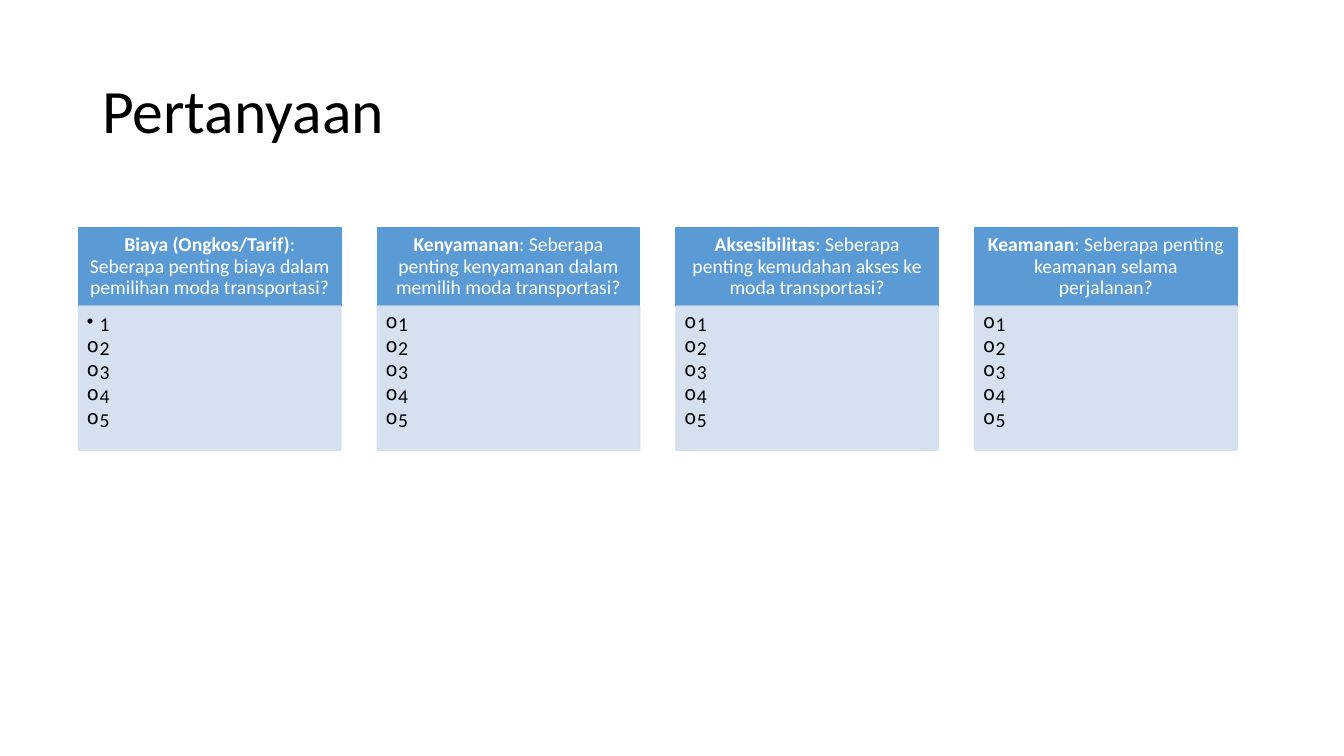
from lxml import etree
from pptx import Presentation
from pptx.dml.color import RGBColor
from pptx.enum import shapes, text
from pptx.oxml.ns import qn
from pptx.util import Pt

FONT = "Calibri"
BLACK = RGBColor(0x00, 0x00, 0x00)
WHITE = RGBColor(0xFF, 0xFF, 0xFF)
BLUE = RGBColor(0x5B, 0x9B, 0xD5)
PALE = RGBColor(0xD2, 0xDE, 0xEF)

QUESTIONS = [
    ("Biaya (Ongkos/Tarif)", ": Seberapa penting biaya dalam pemilihan moda transportasi?", "•"),
    ("Kenyamanan", ": Seberapa penting kenyamanan dalam memilih moda transportasi?", "o"),
    ("Aksesibilitas", ": Seberapa penting kemudahan akses ke moda transportasi?", "o"),
    ("Keamanan", ": Seberapa penting keamanan selama perjalanan?", "o"),
]
SCORES = ["1", "2", "3", "4", "5"]


def add_run(p, content, size=14, color=BLACK, bold=False):
    r = p.add_run()
    r.text = content
    r.font.name = FONT
    r.font.size = Pt(size)
    r.font.color.rgb = color
    r.font.bold = bold


def set_frame(tf, insets, anchor):
    tf.word_wrap = True
    tf.vertical_anchor = anchor
    tf.margin_left, tf.margin_top, tf.margin_right, tf.margin_bottom = map(Pt, insets)


def add_bullet(p, char, indent=9):
    pPr = p._p.get_or_add_pPr()
    pPr.set("marL", str(Pt(indent)))
    pPr.set("indent", str(-Pt(indent)))
    etree.SubElement(pPr, qn("a:buChar")).set("char", char)


def add_panel(s, x, y, w, h, color, alpha=100):
    sp = s.shapes.add_shape(shapes.MSO_SHAPE.RECTANGLE, Pt(x), Pt(y), Pt(w), Pt(h))
    sp.shadow.inherit = False
    sp.fill.solid()
    sp.fill.fore_color.rgb = color
    sp.line.color.rgb = color
    sp.line.width = Pt(1)
    if alpha < 100:
        for clr in sp._element.spPr.iter(qn("a:srgbClr")):
            etree.SubElement(clr, qn("a:alpha")).set("val", str(alpha * 1000))
    return sp


def add_title(s, x, y, w, h):
    tf = s.shapes.add_textbox(Pt(x), Pt(y), Pt(w), Pt(h)).text_frame
    set_frame(tf, (7.2, 3.6, 7.2, 3.6), text.MSO_ANCHOR.MIDDLE)
    p = tf.paragraphs[0]
    p.line_spacing = 0.9
    add_run(p, "Pertanyaan", size=44)


def add_question(s, x, y, w, h, topic, question, first_bullet):
    head_h = h * 0.353
    tf = add_panel(s, x, y, w, head_h, BLUE).text_frame
    set_frame(tf, (7.8, 4.5, 7.8, 4.5), text.MSO_ANCHOR.MIDDLE)
    p = tf.paragraphs[0]
    p.alignment = text.PP_ALIGN.CENTER
    p.line_spacing = 0.9
    add_run(p, topic, color=WHITE, bold=True)
    add_run(p, question, color=WHITE)

    tf = add_panel(s, x, y + head_h, w, h - head_h, PALE, alpha=90).text_frame
    set_frame(tf, (6, 6, 8, 9), text.MSO_ANCHOR.TOP)
    for i, score in enumerate(SCORES):
        p = tf.add_paragraph() if i else tf.paragraphs[0]
        add_bullet(p, "o" if i else first_bullet)
        p.level = 1
        p.alignment = text.PP_ALIGN.LEFT
        p.line_spacing = 0.9
        p.space_after = Pt(2)
        add_run(p, score)


def add_questions(s, x, y, w, h, gap=25.9):
    card_w = (w - gap * (len(QUESTIONS) - 1)) / len(QUESTIONS)
    for i, question in enumerate(QUESTIONS):
        add_question(s, x + i * (card_w + gap), y, card_w, h, *question)


def main():
    prs = Presentation()
    prs.slide_width, prs.slide_height = Pt(960), Pt(540)
    s = prs.slides.add_slide(prs.slide_layouts[6])
    add_title(s, 66, 28.75, 828, 104.4)
    add_questions(s, 56.1, 162.5, 827.6, 159)
    prs.save("out.pptx")


if __name__ == "__main__":
    main()
